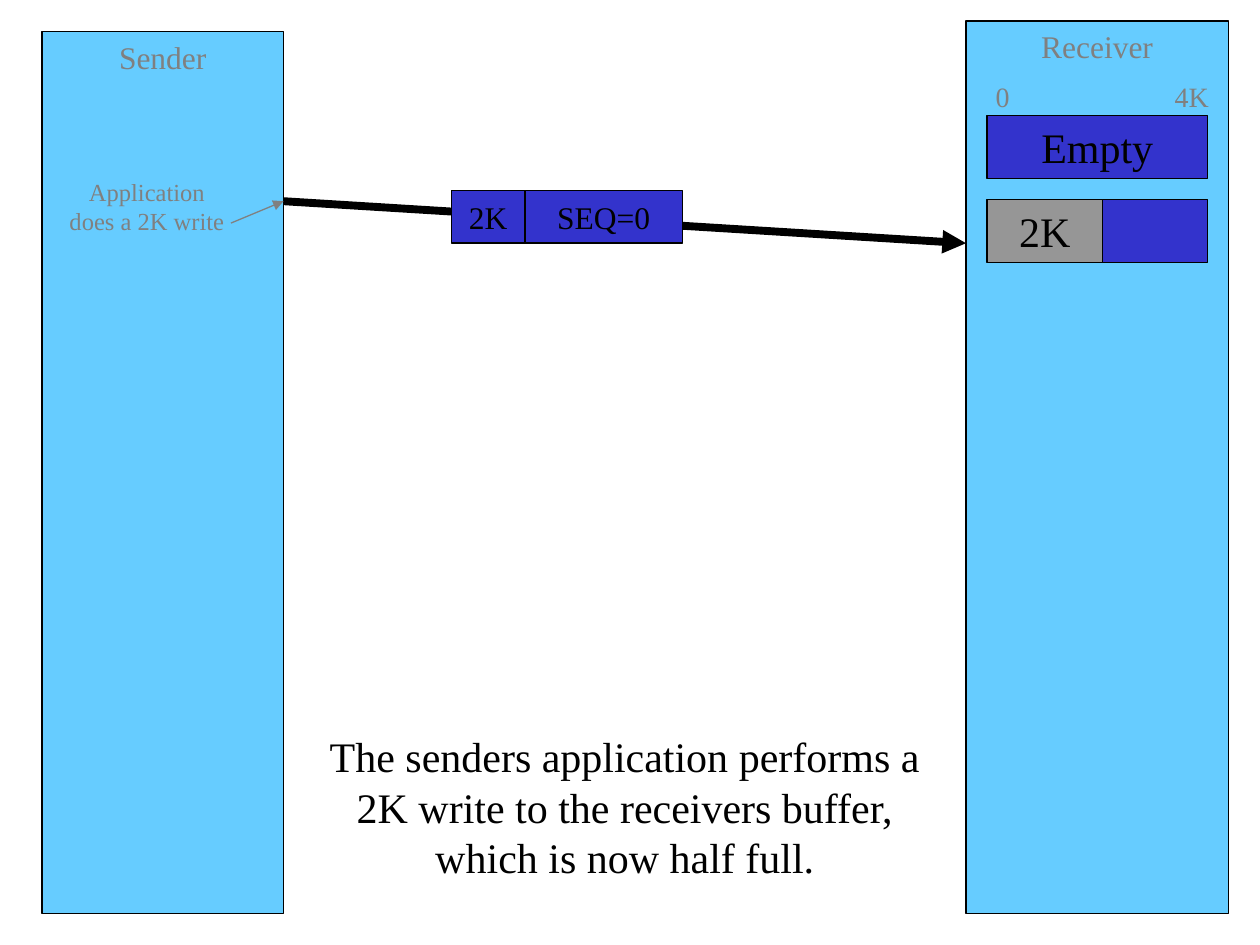
from dataclasses import dataclass

from lxml import etree
from pptx import Presentation
from pptx.dml.color import RGBColor
from pptx.enum import shapes, text
from pptx.oxml import ns
from pptx.util import Pt


@dataclass(frozen=True)
class Theme:
    font: str = "Times New Roman"
    ink: str = "000000"
    muted: str = "808080"
    host: str = "66CCFF"
    buffer: str = "3333CC"
    filled: str = "969696"
    note: int = 14
    scale: int = 16
    label: int = 18
    body: int = 24
    outline: float = 0.75
    heavy: float = 4.5


THEME = Theme()


def color(value):
    return RGBColor.from_string(value)


def write(shape, words, size, ink, anchor=text.MSO_ANCHOR.TOP, wrap=True):
    frame = shape.text_frame
    frame.word_wrap = wrap
    frame.vertical_anchor = anchor
    para = frame.paragraphs[0]
    para.alignment = text.PP_ALIGN.CENTER
    span = para.add_run()
    span.text = words
    span.font.name = THEME.font
    span.font.size = Pt(size)
    span.font.color.rgb = color(ink)


def add_block(page, box, fill):
    block = page.shapes.add_shape(shapes.MSO_SHAPE.RECTANGLE, *map(Pt, box))
    block.shadow.inherit = False
    block.fill.solid()
    block.fill.fore_color.rgb = color(fill)
    block.line.color.rgb = color(THEME.ink)
    block.line.width = Pt(THEME.outline)
    return block


def add_cell(page, box, words, size, fill):
    block = add_block(page, box, fill)
    write(block, words, size, THEME.ink, text.MSO_ANCHOR.MIDDLE, wrap=False)


def add_label(page, box, words, size, ink):
    label = page.shapes.add_textbox(*map(Pt, box))
    write(label, words, size, ink)


def add_arrow(page, start, end, ink, width):
    arrow = page.shapes.add_connector(
        shapes.MSO_CONNECTOR.STRAIGHT, *map(Pt, start + end))
    arrow.line.color.rgb = color(ink)
    arrow.line.width = Pt(width)
    etree.SubElement(arrow.line._get_or_add_ln(), ns.qn("a:tailEnd"), type="triangle")
    etree.SubElement(arrow._element.spPr, ns.qn("a:effectLst"))


def add_host(page, box, name):
    host = add_block(page, box, THEME.host)
    write(host, name, THEME.label, THEME.muted, wrap=False)


def add_segment(page, box, send_point, receive_point):
    """Arrow between the hosts, carrying a size cell and a sequence cell."""
    left, top, width, height = box
    size_width = 42
    add_arrow(page, send_point, receive_point, THEME.ink, THEME.heavy)
    add_cell(page, (left + size_width, top, width - size_width, height),
             "SEQ=0", THEME.label, THEME.buffer)
    add_cell(page, (left, top, size_width, height),
             "2K", THEME.label, THEME.buffer)


def add_write_note(page, box, send_point):
    left, top, width, height = box
    add_label(page, box, "Application does a 2K write", THEME.note, THEME.muted)
    add_arrow(page, (left + width - 6, top + 30), send_point,
              THEME.muted, THEME.outline)


def add_buffers(page, box):
    """Scale marks, the empty buffer and the half-full buffer below it."""
    left, top, width, height = box
    row_height, used = 36, 66
    second_top = top + height - row_height
    add_cell(page, (left, top, width, row_height),
             "Empty", THEME.body, THEME.buffer)
    for mark, offset, mark_width in (("0", -6, 30), ("4K", width - 30, 42)):
        add_label(page, (left + offset, top - 24, mark_width, 26.6),
                  mark, THEME.scale, THEME.muted)
    add_block(page, (left + used, second_top, width - used, row_height),
              THEME.buffer)
    add_cell(page, (left, second_top, used, row_height),
             "2K", THEME.body, THEME.filled)


def main():
    deck = Presentation()
    deck.slide_width, deck.slide_height = Pt(720), Pt(540)
    page = deck.slides.add_slide(deck.slide_layouts[6])
    send_point, receive_point = (162, 115), (552, 139)

    # Hosts and caption
    add_host(page, (24, 18, 138, 504), "Sender")
    add_host(page, (552, 12, 150, 510), "Receiver")
    add_label(page, (168, 414, 378, 93.6),
              "The senders application performs a 2K write to the receivers "
              "buffer, which is now half full.", THEME.body, THEME.ink)

    # Transfer from sender to receiver
    add_segment(page, (258, 109, 132, 30), send_point, receive_point)
    add_write_note(page, (30, 97.5, 108, 41), send_point)
    add_buffers(page, (564, 66, 126, 84))

    deck.save("out.pptx")


if __name__ == "__main__":
    main()
